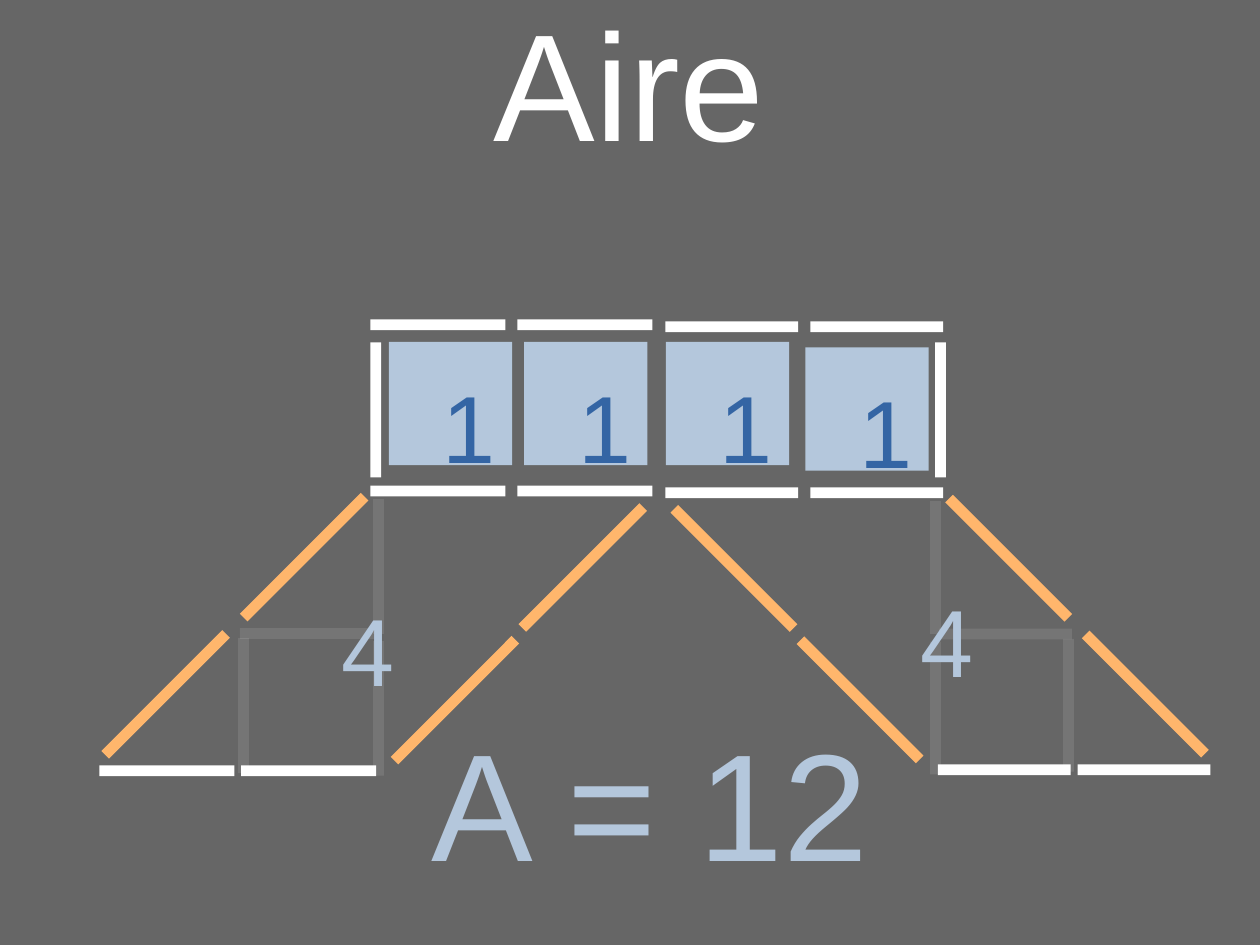
from pptx import Presentation
from pptx.dml.color import RGBColor
from pptx.enum.shapes import MSO_SHAPE
from pptx.enum.text import MSO_ANCHOR, MSO_AUTO_SIZE, PP_ALIGN
from pptx.oxml.xmlchemy import OxmlElement
from pptx.util import Cm, Pt

RECTANGLE = MSO_SHAPE.RECTANGLE
TOP, MIDDLE = MSO_ANCHOR.TOP, MSO_ANCHOR.MIDDLE
LEFT, CENTER = PP_ALIGN.LEFT, PP_ALIGN.CENTER
NO_AUTOFIT = MSO_AUTO_SIZE.NONE
TITLE_ONLY = 5

COLORS = {
    "background": "666666",
    "white": "FFFFFF",
    "orange": "FFB66C",
    "pale_blue": "B4C7DC",
    "dark_blue": "3465A4",
}
BAR_THICKNESS = 0.24
UNIT_SIDE = 2.74
GHOST_OPACITY = 10

# Bar centres of the left half, in cm
BASE_BARS = [(3.71, 17.13), (6.86, 17.13)]
DECK_BARS = [(9.73, 10.91), (13.0, 10.91)]
SLANTED_BARS = [(3.68, 15.43), (6.76, 12.38), (10.11, 15.56), (12.95, 12.61)]
UPRIGHT_GHOSTS = [(8.41, 15.74), (8.41, 12.59), (5.41, 15.68)]
LEVEL_GHOSTS = [(6.83, 14.08)]


class AreaPage:
    def __init__(self, deck):
        self.page = deck.slides.add_slide(deck.slide_layouts[TITLE_ONLY])
        fill = self.page.background.fill
        fill.solid()
        fill.fore_color.rgb = self.color("background")

    def color(self, name):
        return RGBColor.from_string(COLORS[name])

    def rectangle(self, left, top, width, height, color, angle=0, opacity=100):
        box = self.page.shapes.add_shape(
            RECTANGLE, Cm(left), Cm(top), Cm(width), Cm(height))
        box.shadow.inherit = False
        box.line.fill.background()
        box.fill.solid()
        box.fill.fore_color.rgb = self.color(color)
        box.rotation = angle
        if opacity < 100:
            alpha = OxmlElement("a:alpha")
            alpha.set("val", str(opacity * 1000))
            box.element.spPr.find(".//{*}srgbClr").append(alpha)

    def bar(self, center, length, color, angle=0, opacity=100):
        x, y = center
        self.rectangle(x - length / 2, y - BAR_THICKNESS / 2, length,
                       BAR_THICKNESS, color, angle, opacity)

    def set_text(self, box, text, size, color, align=LEFT, anchor=MIDDLE, inset=(0, 0)):
        frame = box.text_frame
        across, down = (Cm(length) for length in inset)
        layout = {
            "word_wrap": True, "auto_size": NO_AUTOFIT, "vertical_anchor": anchor,
            "margin_left": across, "margin_right": across,
            "margin_top": down, "margin_bottom": down,
        }
        for name, value in layout.items():
            setattr(frame, name, value)
        para = frame.paragraphs[0]
        para.alignment = align
        span = para.add_run()
        span.text = text
        for name, value in {"name": "Arial", "size": Pt(size), "bold": False}.items():
            setattr(span.font, name, value)
        span.font.color.rgb = self.color(color)

    def title(self, text, left, top, width, height):
        box = self.page.shapes.title
        place = {"left": left, "top": top, "width": width, "height": height}
        for name, value in place.items():
            setattr(box, name, Cm(value))
        self.set_text(box, text, 96, "white", CENTER)

    def result(self, text, left, top, width, height):
        box = self.page.shapes.add_textbox(Cm(left), Cm(top), Cm(width), Cm(height))
        self.set_text(box, text, 96, "pale_blue")

    def digit(self, text, left, top, color):
        box = self.page.shapes.add_textbox(Cm(left), Cm(top), Cm(0.95), Cm(2.62))
        self.set_text(box, text, 60, color, anchor=TOP, inset=(0.25, 0.13))

    def unit_square(self, left, top):
        self.rectangle(left, top, UNIT_SIDE, UNIT_SIDE, "pale_blue")
        self.digit("1", left + 0.95, top + 0.45, "dark_blue")


def stay(center):
    return center


def mirror(center):
    """Reflect a left-half centre into the slightly smaller right half."""
    x, y = center
    return 29.08 - 0.986 * x, 0.99 * y + 0.15


def draw_half(area, place, straight, slanted, slope, top_row):
    for center in BASE_BARS + DECK_BARS:
        area.bar(place(center), straight, "white")
    for center in DECK_BARS:
        area.bar((place(center)[0], top_row), straight, "white")
    for center in SLANTED_BARS:
        area.bar(place(center), slanted, "orange", slope)
    for centers, angle in ((UPRIGHT_GHOSTS, 90), (LEVEL_GHOSTS, 0)):
        for center in centers:
            area.bar(place(center), straight, "white", angle, GHOST_OPACITY)


def main():
    deck = Presentation()
    deck.slide_width, deck.slide_height = Cm(28), Cm(21)
    area = AreaPage(deck)

    area.title("Aire", 5.97, -0.4, 16.03, 4.4)
    draw_half(area, stay, 3, 3.8, 315, 7.22)
    draw_half(area, mirror, 2.95, 3.75, 45, 7.26)
    for x in (8.35, 20.9):
        area.bar((x, 9.11), 3, "white", 90)

    area.result("A = 12", 9.6, 15.6, 16.03, 4.4)
    for left, top in ((7.34, 13), (20.2, 12.8)):
        area.digit("4", left, top, "pale_blue")
    for left, top in ((8.64, 7.6), (11.65, 7.6), (14.8, 7.6), (17.9, 7.72)):
        area.unit_square(left, top)

    deck.save("out.pptx")


if __name__ == "__main__":
    main()
